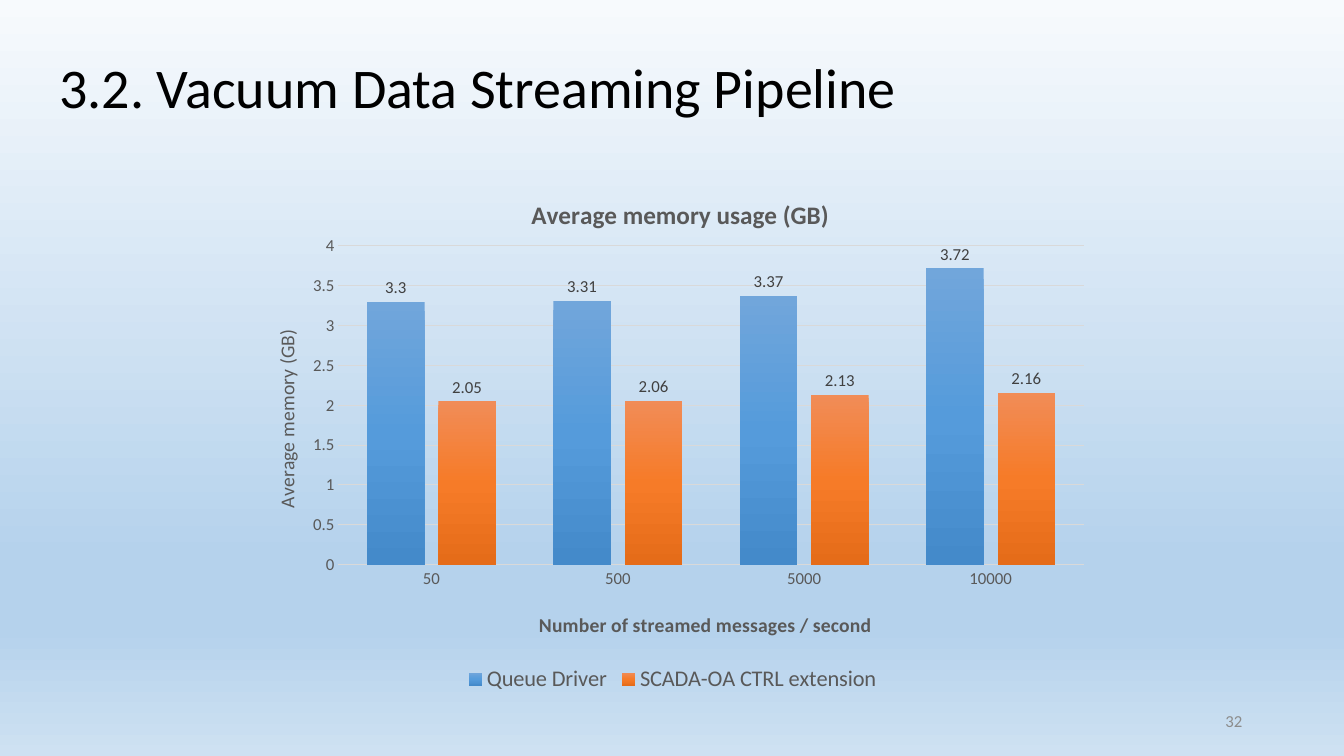
from lxml import etree
from pptx import Presentation
from pptx.chart.data import CategoryChartData
from pptx.dml.color import RGBColor
from pptx.enum.chart import XL_CHART_TYPE, XL_LABEL_POSITION, XL_LEGEND_POSITION, XL_TICK_MARK
from pptx.enum.text import MSO_ANCHOR, PP_ALIGN
from pptx.oxml.ns import qn
from pptx.util import Inches, Pt

COLUMNS = XL_CHART_TYPE.COLUMN_CLUSTERED
OUTSIDE_END = XL_LABEL_POSITION.OUTSIDE_END
BOTTOM = XL_LEGEND_POSITION.BOTTOM
NO_TICK = XL_TICK_MARK.NONE
MIDDLE = MSO_ANCHOR.MIDDLE
LEFT, RIGHT = PP_ALIGN.LEFT, PP_ALIGN.RIGHT

FONT = "Calibri"
COLORS = {
    "title": "000000",
    "page": "8C8C8C",
    "chart_text": "595959",
    "label": "404040",
    "grid": "D9D9D9",
}

# Gradient stops: percent along the fill, colour
SKY = [(0, "F7FAFD"), (74, "B5D2EC"), (83, "B5D2EC"), (100, "CEE1F2")]
BLUE = [(0, "71A6DB"), (50, "559BDB"), (100, "448ACA")]
ORANGE = [(0, "F18C57"), (50, "F67B28"), (100, "E56C19")]

MESSAGE_RATES = ["50", "500", "5000", "10000"]
MEMORY = [
    ("Queue Driver", [3.3, 3.31, 3.37, 3.72], BLUE),
    ("SCADA-OA CTRL extension", [2.05, 2.06, 2.13, 2.16], ORANGE),
]


def style_font(font, size, color, bold=False):
    font.name = FONT
    font.size = Pt(size)
    font.bold = bold
    font.color.rgb = RGBColor.from_string(COLORS[color])


def fill_gradient(fill, owner, stops):
    """Fill with a top-to-bottom gradient; owner is the element holding the fill."""
    fill.gradient()
    gradient = owner.find(".//" + qn("a:gradFill"))
    for child in list(gradient):
        gradient.remove(child)
    stop_list = etree.SubElement(gradient, qn("a:gsLst"))
    for percent, color in stops:
        stop = etree.SubElement(stop_list, qn("a:gs"), pos=str(percent * 1000))
        etree.SubElement(stop, qn("a:srgbClr"), val=color)
    etree.SubElement(gradient, qn("a:lin"), ang="5400000", scaled="0")


def place(element, index, **fractions):
    """Give a chart part a manual layout, in fractions of the chart."""
    for old in element.findall(qn("c:layout")):
        element.remove(old)
    layout = etree.Element(qn("c:layout"))
    manual = etree.SubElement(layout, qn("c:manualLayout"))
    if "w" in fractions:
        etree.SubElement(manual, qn("c:layoutTarget"), val="inner")
    for mode in ("xMode", "yMode"):
        etree.SubElement(manual, qn("c:" + mode), val="edge")
    for key, value in fractions.items():
        etree.SubElement(manual, qn("c:" + key), val=str(value))
    element.insert(index, layout)


def add_text(slide, text, box, size, color, align=LEFT):
    frame = slide.shapes.add_textbox(*map(Inches, box)).text_frame
    frame.word_wrap = True
    frame.vertical_anchor = MIDDLE
    paragraph = frame.paragraphs[0]
    paragraph.text = text
    paragraph.alignment = align
    style_font(paragraph.font, size, color)
    return paragraph


def set_chart_title(title, text, size, x, y, bold=False):
    paragraph = title.text_frame.paragraphs[0]
    paragraph.text = text
    style_font(paragraph.font, size, "chart_text", bold)
    place(title._element, 1, x=x, y=y)


def style_axis(axis):
    axis.major_tick_mark = axis.minor_tick_mark = NO_TICK
    style_font(axis.tick_labels.font, 12, "chart_text")


def style_line(line, width):
    line.color.rgb = RGBColor.from_string(COLORS["grid"])
    line.width = Pt(width)


def add_memory_chart(slide, box):
    data = CategoryChartData()
    data.categories = MESSAGE_RATES
    for name, values, _ in MEMORY:
        data.add_series(name, values)
    chart = slide.shapes.add_chart(COLUMNS, *map(Inches, box), data).chart
    style_font(chart.font, 10, "title")

    # Columns and value labels
    plot = chart.plots[0]
    plot.gap_width, plot.overlap = 100, -24
    plot.vary_by_categories = False
    for series, (_, _, stops) in zip(plot.series, MEMORY):
        fill_gradient(series.format.fill, series._element, stops)
        labels = series.data_labels
        labels.show_value = True
        labels.position = OUTSIDE_END
        style_font(labels.font, 12, "label")

    # Axes
    rate_axis, memory_axis = chart.category_axis, chart.value_axis
    style_axis(rate_axis)
    style_axis(memory_axis)
    style_line(rate_axis.format.line, 1)
    memory_axis.format.line.fill.background()
    memory_axis.minimum_scale, memory_axis.maximum_scale = 0, 4
    memory_axis.major_unit = 0.5
    style_line(memory_axis.major_gridlines.format.line, 0.75)

    # Titles
    set_chart_title(chart.chart_title, "Average memory usage (GB)", 18, 0.33, 0.05, True)
    set_chart_title(rate_axis.axis_title, "Number of streamed messages / second",
                    14, 0.34, 0.83, True)
    set_chart_title(memory_axis.axis_title, "Average memory (GB)", 14, 0.03, 0.3)
    body = memory_axis.axis_title._element.find(".//" + qn("a:bodyPr"))
    body.set("rot", "-5400000")
    body.set("vert", "horz")

    # Legend and plot area
    chart.has_legend = True
    chart.legend.position = BOTTOM
    chart.legend.include_in_layout = False
    style_font(chart.legend.font, 16, "chart_text")
    plot_area = chart.element.find(".//" + qn("c:plotArea"))
    place(plot_area, 0, x=0.11, y=0.15, w=0.87, h=0.6)


def main():
    prs = Presentation()
    prs.slide_width, prs.slide_height = Inches(13.33), Inches(7.5)
    slide = prs.slides.add_slide(prs.slide_layouts[6])
    fill_gradient(slide.background.fill, slide.element, SKY)

    add_text(slide, "32", (9.42, 6.95, 3, 0.4), 12, "page", RIGHT)
    heading = add_text(slide, "3.2. Vacuum Data Streaming Pipeline",
                       (0.49, 0.17, 11.5, 1.45), 40, "title")
    heading.line_spacing = 0.9
    add_memory_chart(slide, (2.42, 1.65, 8.5, 5.27))

    prs.save("out.pptx")


if __name__ == "__main__":
    main()
